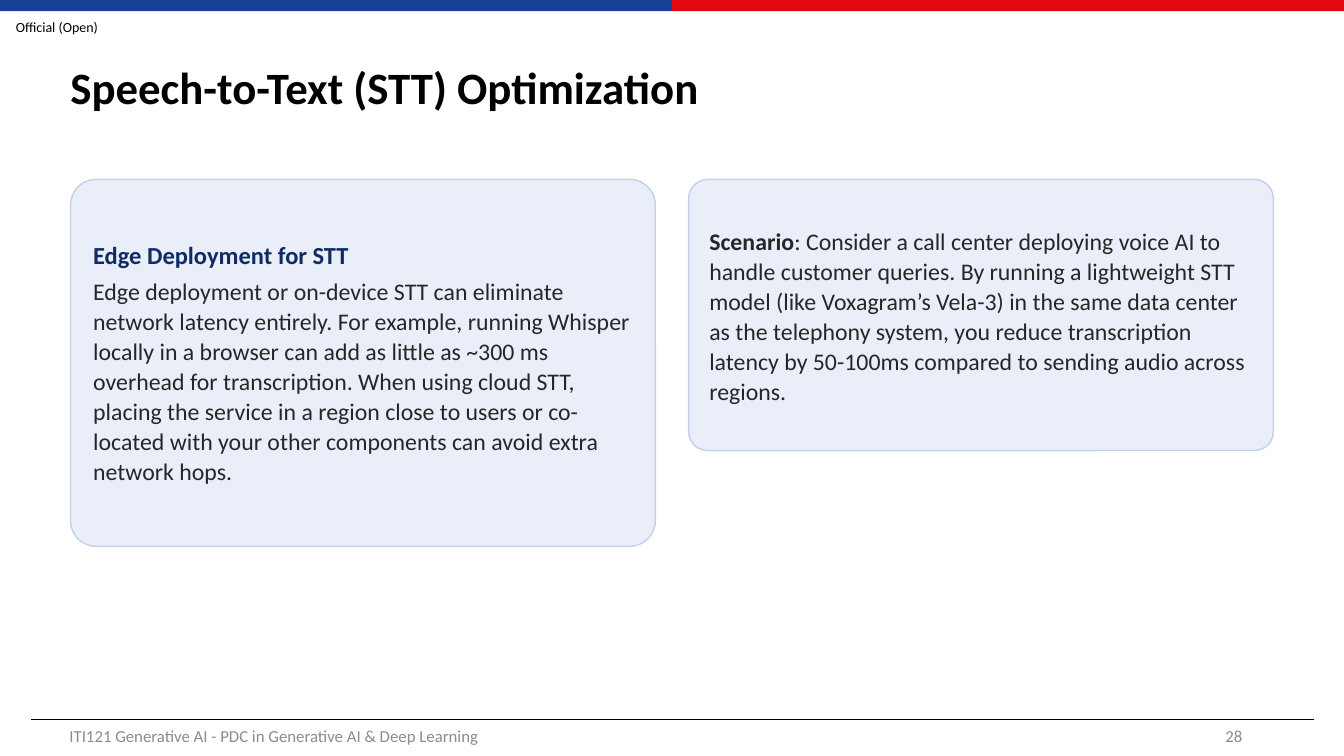
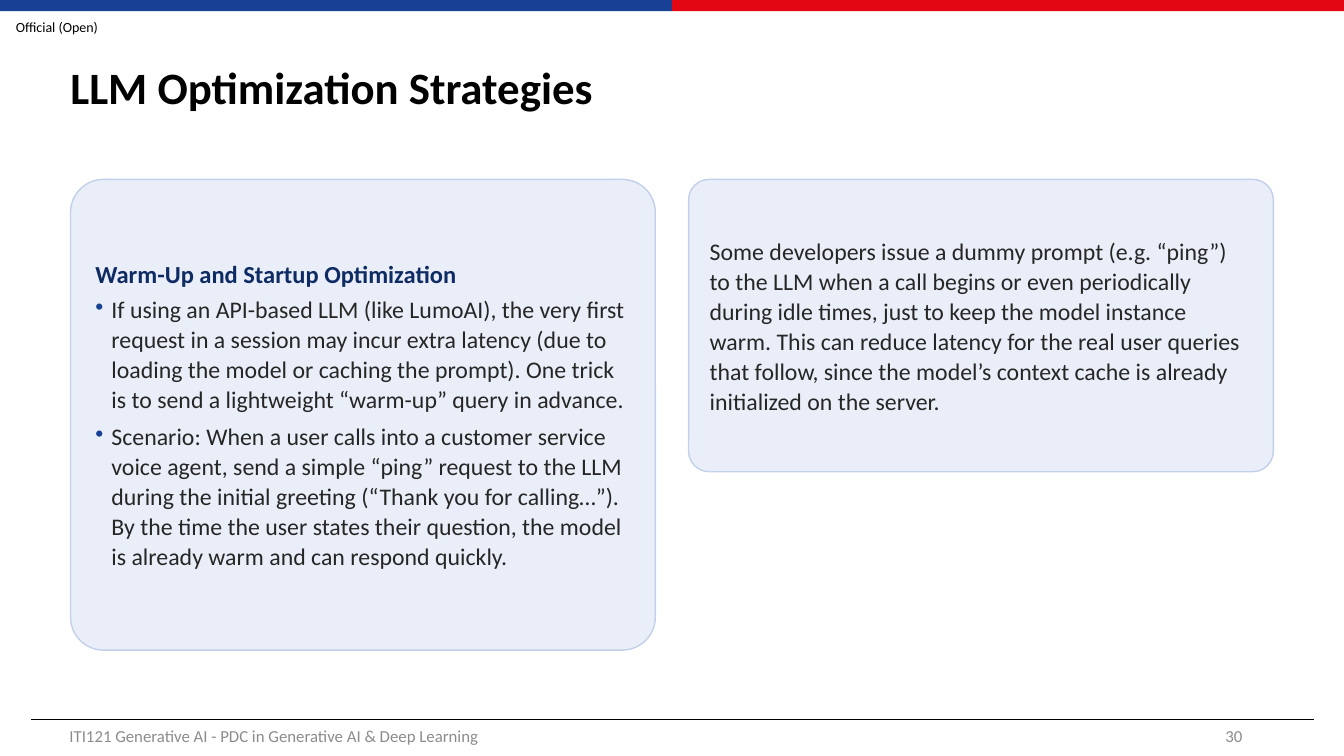
"""Build two slides on speech-to-text and LLM latency optimization."""
import pptx
import pptx.chart.data
import pptx.dml.color
import pptx.enum.shapes
import pptx.enum.text
import pptx.oxml.ns
import pptx.util
from lxml import etree

RGB = pptx.dml.color.RGBColor
BLUE = RGB(0x16, 0x41, 0x94)
RED = RGB(0xE3, 0x06, 0x13)
BLACK = RGB(0x00, 0x00, 0x00)
GREY = RGB(0x8C, 0x8C, 0x8C)
NAVY = RGB(0x0E, 0x2B, 0x63)
INK = RGB(0x26, 0x26, 0x26)
PALE = RGB(0xE9, 0xEE, 0xF8)
EDGE = RGB(0xC3, 0xD0, 0xEA)
FONT = "Calibri"

Inches, Pt = pptx.util.Inches, pptx.util.Pt
KIND = pptx.enum.shapes.MSO_SHAPE
ALIGN = pptx.enum.text.PP_ALIGN
MIDDLE = pptx.enum.text.MSO_ANCHOR.MIDDLE
qn = pptx.oxml.ns.qn

WIDE, HIGH = 13.33, 7.5
HALF = WIDE / 2
SIDE, GAP, TOP = 0.7, 0.33, 1.78
COL = (WIDE - 2 * SIDE - GAP) / 2
RULE = 7.14
FOOT = 7.1


def place(x, y, wide, high):
    return [Inches(n) for n in (x, y, wide, high)]


def write(frame, text, size=17, color=INK, bold=False, align=ALIGN.LEFT,
          line=None, after=None, dot=False, lead=""):
    para = frame.paragraphs[0] if not frame.text else frame.add_paragraph()
    if dot:
        props = para._p.get_or_add_pPr()
        props.set("marL", str(Inches(0.16)))
        props.set("indent", str(-Inches(0.16)))
        tint = etree.SubElement(props, qn("a:buClr"))
        etree.SubElement(tint, qn("a:srgbClr"), val=str(BLUE))
        etree.SubElement(props, qn("a:buChar"), char="•")
    para.alignment = align
    if line:
        para.line_spacing = line
    if after:
        para.space_after = Pt(after)
    for part, heavy in ((lead, True), (text, bold)):
        if part:
            run = para.add_run()
            run.text = part
            run.font.name = FONT
            run.font.size = Pt(size)
            run.font.bold = heavy
            run.font.color.rgb = color


HEAD = dict(size=17.5, color=NAVY, bold=True, after=4)
BODY = dict(line=1.05, after=5)
ITEM = dict(BODY, dot=True)

pages = [
    ("Speech-to-Text (STT) Optimization", "28", [
        (3.64, [
            ("Edge Deployment for STT", HEAD),
            ("Edge deployment or on-device STT can eliminate network latency "
             "entirely. For example, running Whisper locally in a browser can "
             "add as little as ~300 ms overhead for transcription. When using "
             "cloud STT, placing the service in a region close to users or "
             "co-located with your other components can avoid extra network "
             "hops.", BODY),
        ]),
        (2.69, [
            (": Consider a call center deploying voice AI to handle customer "
             "queries. By running a lightweight STT model (like Voxagram’s "
             "Vela-3) in the same data center as the telephony system, you "
             "reduce transcription latency by 50-100ms compared to sending "
             "audio across regions.", dict(BODY, lead="Scenario")),
        ]),
    ]),
    ("LLM Optimization Strategies", "30", [
        (4.67, [
            ("Warm-Up and Startup Optimization", HEAD),
            ("If using an API-based LLM (like LumoAI), the very first request "
             "in a session may incur extra latency (due to loading the model "
             "or caching the prompt). One trick is to send a lightweight "
             "“warm-up” query in advance.", ITEM),
            ("Scenario: When a user calls into a customer service voice agent, "
             "send a simple “ping” request to the LLM during the initial "
             "greeting (“Thank you for calling…”). By the time the user states "
             "their question, the model is already warm and can respond "
             "quickly.", ITEM),
        ]),
        (2.9, [
            ("Some developers issue a dummy prompt (e.g. “ping”) to the LLM "
             "when a call begins or even periodically during idle times, just "
             "to keep the model instance warm. This can reduce latency for the "
             "real user queries that follow, since the model’s context cache "
             "is already initialized on the server.", BODY),
        ]),
    ]),
]

deck = pptx.Presentation()
deck.slide_width, deck.slide_height = Inches(WIDE), Inches(HIGH)

for title, number, cards in pages:
    slide = deck.slides.add_slide(deck.slide_layouts[6])
    shapes = slide.shapes

    for col, color in enumerate((BLUE, RED)):
        band = shapes.add_shape(KIND.RECTANGLE, *place(col * HALF, 0, HALF, 0.11))
        band.shadow.inherit = False
        band.fill.solid()
        band.fill.fore_color.rgb = color
        band.line.fill.background()

    rule = shapes.add_connector(
        pptx.enum.shapes.MSO_CONNECTOR.STRAIGHT,
        *place(0.31, RULE, WIDE - 0.3, RULE))
    rule.line.color.rgb = BLACK
    rule.line.width = Pt(0.5)
    etree.SubElement(rule._element.spPr, qn("a:effectLst"))

    small = dict(size=12, color=GREY)
    labels = [
        ("Official (Open)", (0, 0.12, 1.13, 0.29),
         dict(size=10, color=BLACK, align=ALIGN.CENTER)),
        (title, (0.6, 0.3, 12.08, 1.18),
         dict(size=32, color=BLACK, bold=True, line=0.9)),
        ("ITI121 Generative AI - PDC in Generative AI & Deep Learning",
         (0.59, FOOT, 4.5, 0.4), small),
        (number, (9.42, FOOT, 3, 0.4), dict(small, align=ALIGN.RIGHT)),
    ]
    for text, area, style in labels:
        frame = shapes.add_textbox(*place(*area)).text_frame
        frame.word_wrap = True
        frame.vertical_anchor = MIDDLE
        write(frame, text, **style)

    for col, (high, paras) in enumerate(cards):
        left = SIDE + col * (COL + GAP)
        card = shapes.add_shape(KIND.ROUNDED_RECTANGLE,
                                *place(left, TOP, COL, high))
        card.adjustments[0] = 0.07
        card.shadow.inherit = False
        card.fill.solid()
        card.fill.fore_color.rgb = PALE
        card.line.color.rgb = EDGE
        card.line.width = Pt(1)
        frame = card.text_frame
        frame.word_wrap = True
        frame.vertical_anchor = MIDDLE
        frame.margin_left = frame.margin_right = Inches(0.15)
        frame.margin_top = frame.margin_bottom = Inches(0.1)
        for text, style in paras:
            write(frame, text, **style)

deck.save("out.pptx")
